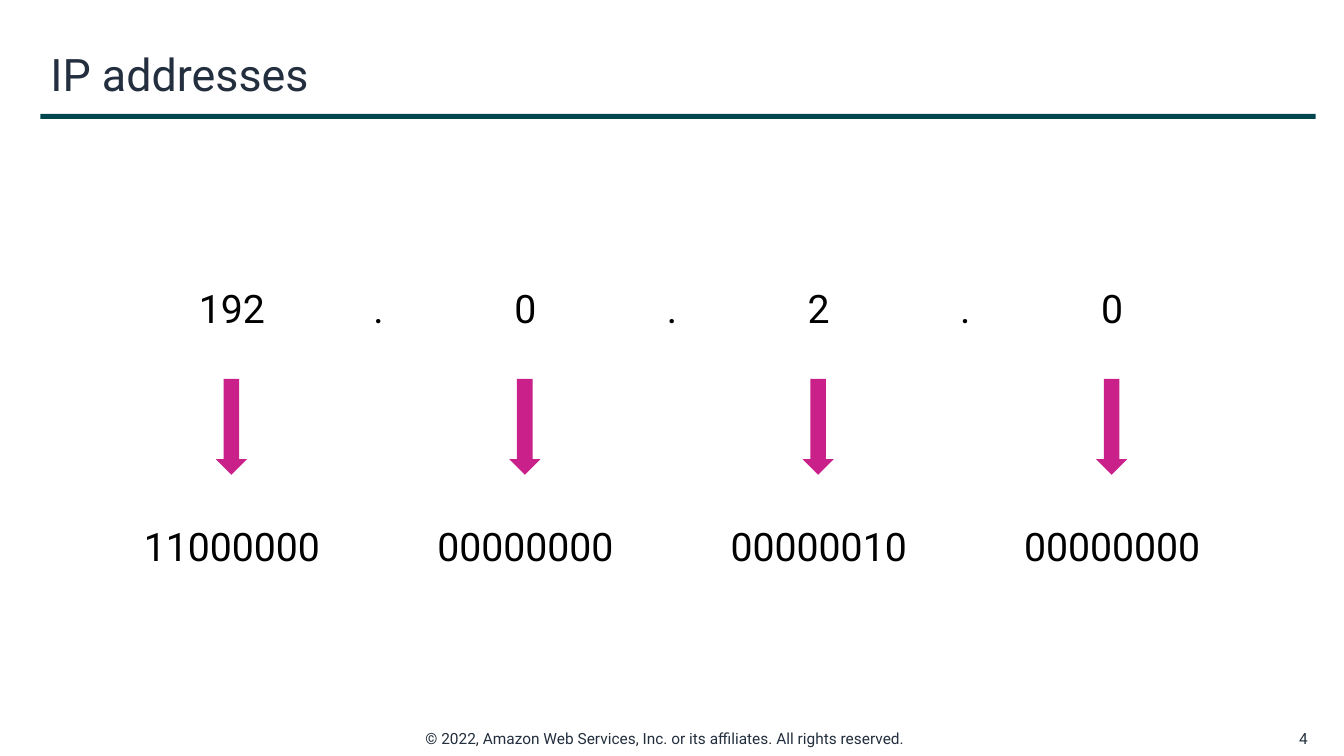
from pptx import Presentation
from pptx.dml.color import RGBColor
from pptx.enum.shapes import MSO_SHAPE
from pptx.enum.text import MSO_ANCHOR, PP_ALIGN
from pptx.util import Inches, Pt

INK = RGBColor(0x23, 0x2F, 0x3E)
BLACK = RGBColor(0, 0, 0)
TEAL = RGBColor(0x00, 0x46, 0x4F)
PINK = RGBColor(0xC9, 0x20, 0x8A)
BAR, ARROW = MSO_SHAPE.RECTANGLE, MSO_SHAPE.DOWN_ARROW
LEFT, MID, RIGHT = PP_ALIGN.LEFT, PP_ALIGN.CENTER, PP_ALIGN.RIGHT
TOP, CENTER = MSO_ANCHOR.TOP, MSO_ANCHOR.MIDDLE

OCTETS = [192, 0, 2, 0]
FIRST, PITCH = 2.3, 2.91


class Page:
    font = "Roboto"

    def __init__(self, deck):
        self.slide = deck.slides.add_slide(deck.slide_layouts[5])

    def fill_text(self, box, text, size, color, align, anchor):
        frame = box.text_frame
        frame.word_wrap = True
        frame.vertical_anchor = anchor
        para = frame.paragraphs[0]
        para.alignment = align
        run = para.add_run()
        run.text = text
        run.font.name = self.font
        run.font.size = Pt(size)
        run.font.color.rgb = color

    def title(self, text, x, y, w, h):
        box = self.slide.shapes.title
        box.left, box.top = Inches(x), Inches(y)
        box.width, box.height = Inches(w), Inches(h)
        self.fill_text(box, text, 32, INK, LEFT, CENTER)

    def text(self, text, x, y, w, h, size=28, color=BLACK, align=MID, anchor=TOP):
        box = self.slide.shapes.add_textbox(Inches(x), Inches(y), Inches(w), Inches(h))
        self.fill_text(box, text, size, color, align, anchor)

    def shape(self, kind, x, y, w, h, color):
        item = self.slide.shapes.add_shape(kind, Inches(x), Inches(y), Inches(w), Inches(h))
        item.shadow.inherit = False
        item.fill.solid()
        item.fill.fore_color.rgb = color
        item.line.fill.background()

    def octet(self, value, mid):
        self.text(str(value), mid - 0.45, 2.77, 0.9, 0.57)
        self.shape(ARROW, mid - 0.16, 3.76, 0.31, 0.95, PINK)
        self.text(f"{value:08b}", mid - 1.02, 5.13, 2.04, 0.57)


def main():
    deck = Presentation()
    deck.slide_width, deck.slide_height = Inches(13.33), Inches(7.5)
    page = Page(deck)
    page.text("© 2022, Amazon Web Services, Inc. or its affiliates. All rights reserved.",
              4.12, 7.18, 5.09, 0.29, 11, INK, LEFT)
    page.shape(BAR, 0.4, 1.13, 12.65, 0.05, TEAL)
    page.text("4", 12.54, 7.18, 0.53, 0.29, 11, INK, RIGHT, CENTER)
    page.title("IP addresses", 0.4, 0.33, 12.65, 0.8)
    for i, value in enumerate(OCTETS):
        mid = FIRST + i * PITCH
        if i:
            page.text(".", mid - PITCH / 2 - 0.45, 2.77, 0.9, 0.57)
        page.octet(value, mid)
    deck.save("out.pptx")


if __name__ == "__main__":
    main()
